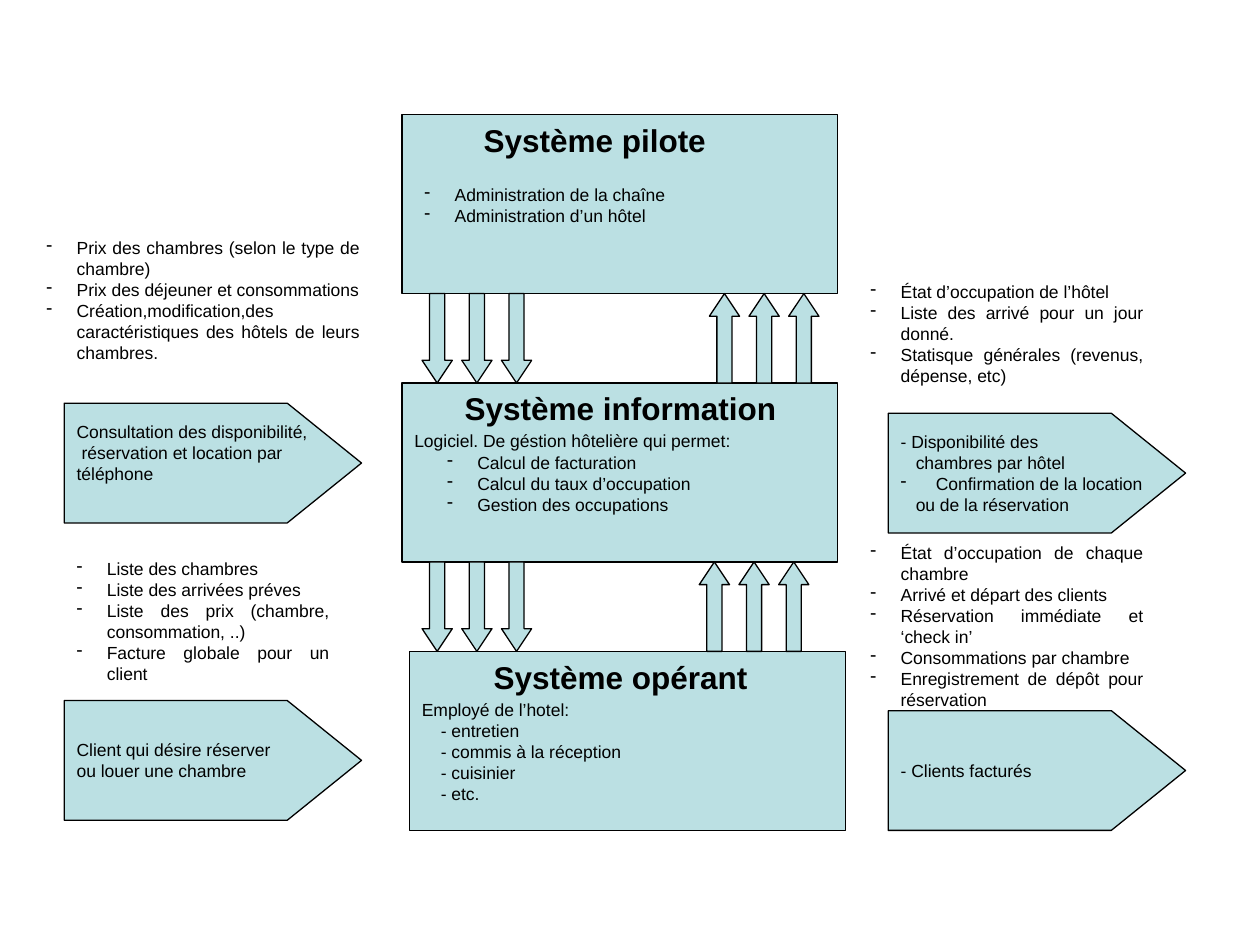
import pptx
import pptx.dml.color
import pptx.enum.shapes
import pptx.enum.text
import pptx.util
from lxml import etree

Inches = pptx.util.Inches
Pt = pptx.util.Pt
Kind = pptx.enum.shapes.MSO_SHAPE
Align = pptx.enum.text.PP_ALIGN
Anchor = pptx.enum.text.MSO_ANCHOR
FILL, INK = "BBE0E3", "000000"
HANG = 0.24


def add_box(kind, left, top, width, height):
    """Add a filled, outlined shape, or a plain text box when kind is None."""
    place = [Inches(value) for value in (left, top, width, height)]
    if kind is None:
        return page.shapes.add_textbox(*place)
    box = page.shapes.add_shape(kind, *place)
    box.shadow.inherit = False
    box.fill.solid()
    box.fill.fore_color.rgb = pptx.dml.color.RGBColor.from_string(FILL)
    box.line.color.rgb = pptx.dml.color.RGBColor.from_string(INK)
    box.line.width = Pt(0.75)
    return box


def write(box, lines, size=10, bold=False, anchor=Anchor.TOP, **margins):
    """Write lines of (text, left indent, hanging bullet or not)."""
    frame = box.text_frame
    layout = {"word_wrap": True, "vertical_anchor": anchor, **margins}
    for name, value in layout.items():
        setattr(frame, name, value)
    for index, (text, indent, bullet) in enumerate(lines):
        para = frame.add_paragraph() if index else frame.paragraphs[0]
        para.alignment = Align.JUSTIFY if bullet else Align.LEFT
        props = para._p.get_or_add_pPr()
        props.set("marL", str(Inches(indent)))
        props.set("indent", str(-Inches(min(indent, 0.28)) if indent > 0.28
                                else -Inches(indent)) if bullet == "wide"
                  else str(-Inches(HANG) if bullet else 0))
        if bullet:
            mark = etree.SubElement(props, pptx.oxml.ns.qn("a:buChar"))
            mark.set("char", "-")
        span = para.add_run()
        span.text = text
        for name, value in {"name": "Arial", "size": Pt(size), "bold": bold}.items():
            setattr(span.font, name, value)
        span.font.color.rgb = pptx.dml.color.RGBColor.from_string(INK)


deck = pptx.Presentation()
deck.slide_width, deck.slide_height = Inches(10), Inches(7.5)
page = deck.slides.add_slide(deck.slide_layouts[6])

# Three stacked systems
pilot = add_box(Kind.RECTANGLE, 3.19, 0.91, 3.46, 1.42)
information = add_box(Kind.RECTANGLE, 3.19, 3.04, 3.46, 1.42)
operations = add_box(Kind.RECTANGLE, 3.25, 5.17, 3.46, 1.42)
write(information, [
    ("Logiciel. De géstion hôtelière qui permet:", 0, False),
    ("Calcul de facturation", 0.5, True),
    ("Calcul du taux d’occupation", 0.5, True),
    ("Gestion des occupations", 0.5, True),
], anchor=Anchor.MIDDLE)
write(operations, [
    ("Employé de l’hotel:", 0, False),
    ("- entretien", 0.15, False),
    ("- commis à la réception", 0.15, False),
    ("- cuisinier", 0.15, False),
    ("- etc.", 0.15, False),
], anchor=Anchor.MIDDLE, margin_top=Inches(0.22))

for text, left, top in [
    ("Système pilote", 3.74, 0.91),
    ("Système information", 3.59, 3.04),
    ("Système opérant", 3.82, 5.17),
]:
    write(add_box(None, left, top, 2.8, 0.4), [(text, 0, False)], size=18, bold=True)

# Three arrows each way in both gaps
for kind, first_left, top in [
    (Kind.DOWN_ARROW, 3.35, 2.33),
    (Kind.DOWN_ARROW, 3.35, 4.46),
    (Kind.UP_ARROW, 5.63, 2.33),
    (Kind.UP_ARROW, 5.55, 4.46),
]:
    for column in range(3):
        arrow = add_box(kind, first_left + column * 0.315, top, 0.24, 0.71)
        arrow.adjustments[1] = 0.75

# External flows
for left, top, lines, margins in [
    (0.51, 3.2, [
        ("Consultation des disponibilité,", 0, False),
        ("réservation et location par", 0.04, False),
        ("téléphone", 0, False),
    ], {"margin_bottom": Inches(0.22)}),
    (7.05, 3.28, [
        ("- Disponibilité des", 0, False),
        ("chambres par hôtel", 0.12, False),
        ("Confirmation de la location", 0.28, "wide"),
        ("ou de la réservation", 0.12, False),
    ], {}),
    (0.51, 5.56, [
        ("Client qui désire réserver", 0, False),
        ("ou louer une chambre", 0, False),
    ], {}),
    (7.05, 5.64, [("- Clients facturés", 0, False)], {}),
]:
    flow = add_box(Kind.PENTAGON, left, top, 2.36, 0.95)
    flow.adjustments[0] = 0.62
    write(flow, lines, anchor=Anchor.MIDDLE, margin_right=0, **margins)

# Bulleted lists
for left, top, width, height, items in [
    (3.27, 1.41, 3.39, 0.44, [
        "Administration de la chaîne",
        "Administration d’un hôtel",
    ]),
    (0.27, 1.83, 2.68, 1.1, [
        "Prix des chambres (selon le type de chambre)",
        "Prix des déjeuner et consommations",
        "Création,modification,des caractéristiques des hôtels de leurs chambres.",
    ]),
    (0.51, 4.38, 2.2, 0.94, [
        "Liste des chambres",
        "Liste des arrivées préves",
        "Liste des prix (chambre, consommation, ..)",
        "Facture globale pour un client",
    ]),
    (6.81, 4.25, 2.36, 1.44, [
        "État d’occupation de chaque chambre",
        "Arrivé et départ des clients",
        "Réservation immédiate et ‘check in’",
        "Consommations par chambre",
        "Enregistrement de dépôt pour réservation",
    ]),
    (6.81, 2.18, 2.36, 0.94, [
        "État d’occupation de l’hôtel",
        "Liste des arrivé pour un jour donné.",
        "Statisque générales (revenus, dépense, etc)",
    ]),
]:
    write(add_box(None, left, top, width, height),
          [(item, HANG, True) for item in items])

deck.save("out.pptx")
